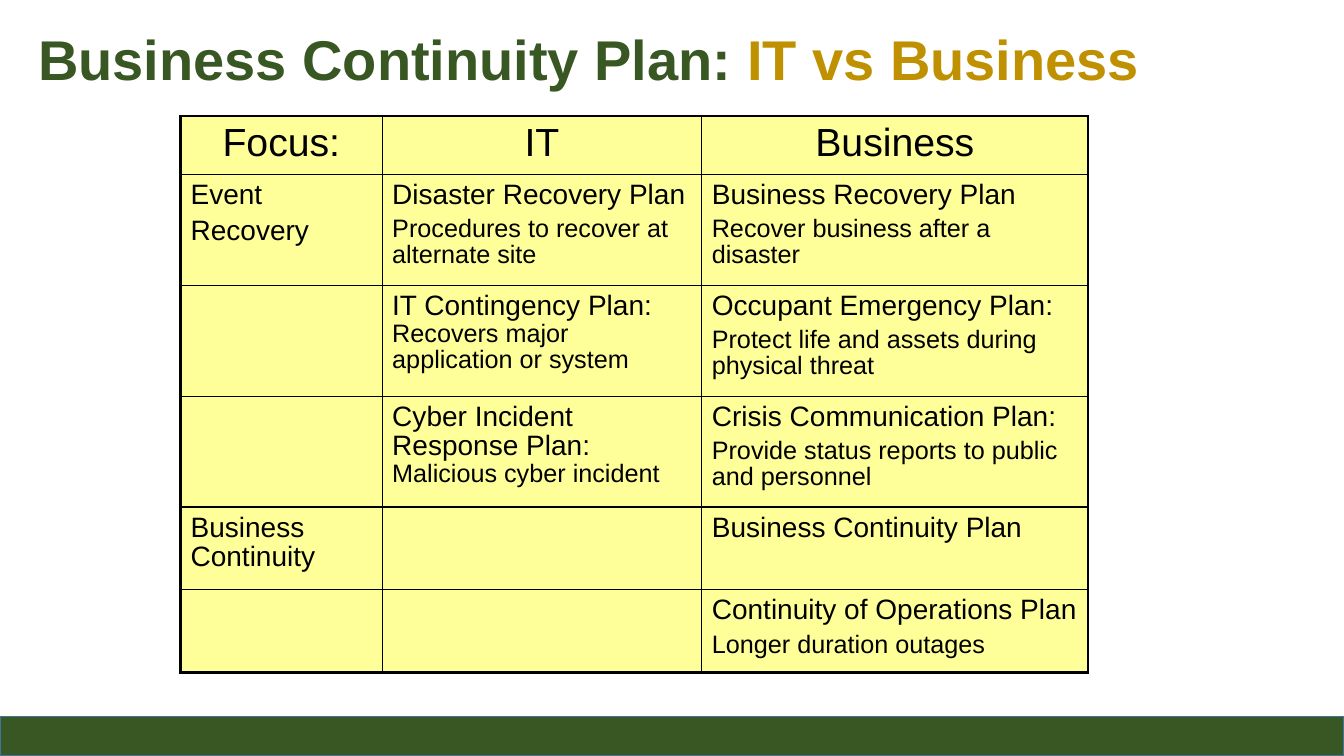
from dataclasses import dataclass

from lxml import etree
from pptx import Presentation
from pptx.dml.color import RGBColor
from pptx.enum.shapes import MSO_SHAPE
from pptx.enum.text import MSO_ANCHOR, PP_ALIGN
from pptx.oxml.ns import qn
from pptx.util import Inches, Pt

RECTANGLE = MSO_SHAPE.RECTANGLE
MIDDLE = MSO_ANCHOR.MIDDLE
CENTER = PP_ALIGN.CENTER
LEFT = PP_ALIGN.LEFT


@dataclass(frozen=True)
class Theme:
    font: str = "Arial"
    green: str = "385723"
    gold: str = "BF9000"
    black: str = "000000"
    yellow: str = "FFFF99"
    bar_line: str = "43739E"
    title_size: float = 40
    header_size: float = 28
    plan_size: float = 20
    detail_size: float = 18
    outer_border: float = 2.25
    inner_border: float = 1
    line_spacing: float = 0.93


THEME = Theme()
COLUMN_WIDTHS = [2, 3.17, 3.83]
ROW_HEIGHTS = [0.58, 1.1, 1.1, 1.1, 0.82, 0.82]


def header(text):
    return [(text, THEME.header_size)]


def plan(text):
    return [(text, THEME.plan_size)]


def detail(text):
    return [(text, THEME.detail_size)]


PLAN_ROWS = [
    [[header("Focus:")], [header("IT")], [header("Business")]],
    [
        [plan("Event"), plan("Recovery")],
        [plan("Disaster Recovery Plan"), detail("Procedures to recover at alternate site")],
        [plan("Business Recovery Plan"), detail("Recover business after a disaster")],
    ],
    [
        [],
        [plan("IT Contingency Plan: ") + detail("Recovers major application or system")],
        [plan("Occupant Emergency Plan:"), detail("Protect life and assets during physical threat")],
    ],
    [
        [],
        [plan("Cyber Incident Response Plan: ") + detail("Malicious cyber incident")],
        [plan("Crisis Communication Plan:"), detail("Provide status reports to public and personnel")],
    ],
    [[plan("Business Continuity")], [], [plan("Business Continuity Plan")]],
    [[], [], [plan("Continuity of Operations Plan"), detail("Longer duration outages")]],
]


def add_span(para, text, size, color, bold=False):
    span = para.add_run()
    span.text = text
    span.font.name = THEME.font
    span.font.size = Pt(size)
    span.font.bold = bold
    span.font.color.rgb = RGBColor.from_string(color)


def add_title(page):
    box = page.shapes.add_textbox(Inches(0.28), Inches(0.22), Inches(12.25), Inches(0.72))
    frame = box.text_frame
    frame.word_wrap = True
    frame.vertical_anchor = MIDDLE
    para = frame.paragraphs[0]
    add_span(para, "Business Continuity Plan: ", THEME.title_size, THEME.green, True)
    add_span(para, "IT vs Business", THEME.title_size, THEME.gold, True)


def set_border(cell, side, points):
    properties = cell._tc.get_or_add_tcPr()
    line = etree.SubElement(properties, qn(f"a:ln{side}"), w=str(Pt(points)))
    fill = etree.SubElement(line, qn("a:solidFill"))
    etree.SubElement(fill, qn("a:srgbClr"), val=THEME.black)


def fill_cell(cell, paragraphs, is_header):
    cell.fill.solid()
    cell.fill.fore_color.rgb = RGBColor.from_string(THEME.yellow)
    cell.margin_left = cell.margin_right = Inches(0.1)
    cell.margin_top = Inches(0.08 if is_header else 0.07)
    cell.margin_bottom = Inches(0.05)
    frame = cell.text_frame
    for index, spans in enumerate(paragraphs):
        para = frame.add_paragraph() if index else frame.paragraphs[0]
        para.alignment = CENTER if is_header else LEFT
        para.line_spacing = THEME.line_spacing
        para.space_before = Pt(spans[-1][1] / 4)
        for text, size in spans:
            add_span(para, text, size, THEME.black)


def add_plan_table(page):
    table = page.shapes.add_table(
        len(ROW_HEIGHTS), len(COLUMN_WIDTHS), Inches(1.79), Inches(1.15),
        Inches(sum(COLUMN_WIDTHS)), Inches(sum(ROW_HEIGHTS)),
    ).table
    table.first_row = False
    table.horz_banding = False
    for column, width in zip(table.columns, COLUMN_WIDTHS):
        column.width = Inches(width)
    for row, height in zip(table.rows, ROW_HEIGHTS):
        row.height = Inches(height)
    last_row, last_column = len(ROW_HEIGHTS) - 1, len(COLUMN_WIDTHS) - 1
    for row, cells in enumerate(PLAN_ROWS):
        for column, paragraphs in enumerate(cells):
            cell = table.cell(row, column)
            outer_sides = {
                "L": column == 0,
                "R": column == last_column,
                "T": row == 0,
                "B": row == last_row,
            }
            for side, is_outer in outer_sides.items():
                set_border(cell, side, THEME.outer_border if is_outer else THEME.inner_border)
            fill_cell(cell, paragraphs, row == 0)


def add_footer_bar(page):
    bar = page.shapes.add_shape(RECTANGLE, Inches(0), Inches(7.11), Inches(13.33), Inches(0.39))
    bar.shadow.inherit = False
    bar.fill.solid()
    bar.fill.fore_color.rgb = RGBColor.from_string(THEME.green)
    bar.line.color.rgb = RGBColor.from_string(THEME.bar_line)
    bar.line.width = Pt(1)


def main():
    deck = Presentation()
    deck.slide_width = Inches(13.33)
    deck.slide_height = Inches(7.5)
    page = deck.slides.add_slide(deck.slide_layouts[6])
    add_title(page)
    add_plan_table(page)
    add_footer_bar(page)
    deck.save("out.pptx")


if __name__ == "__main__":
    main()
